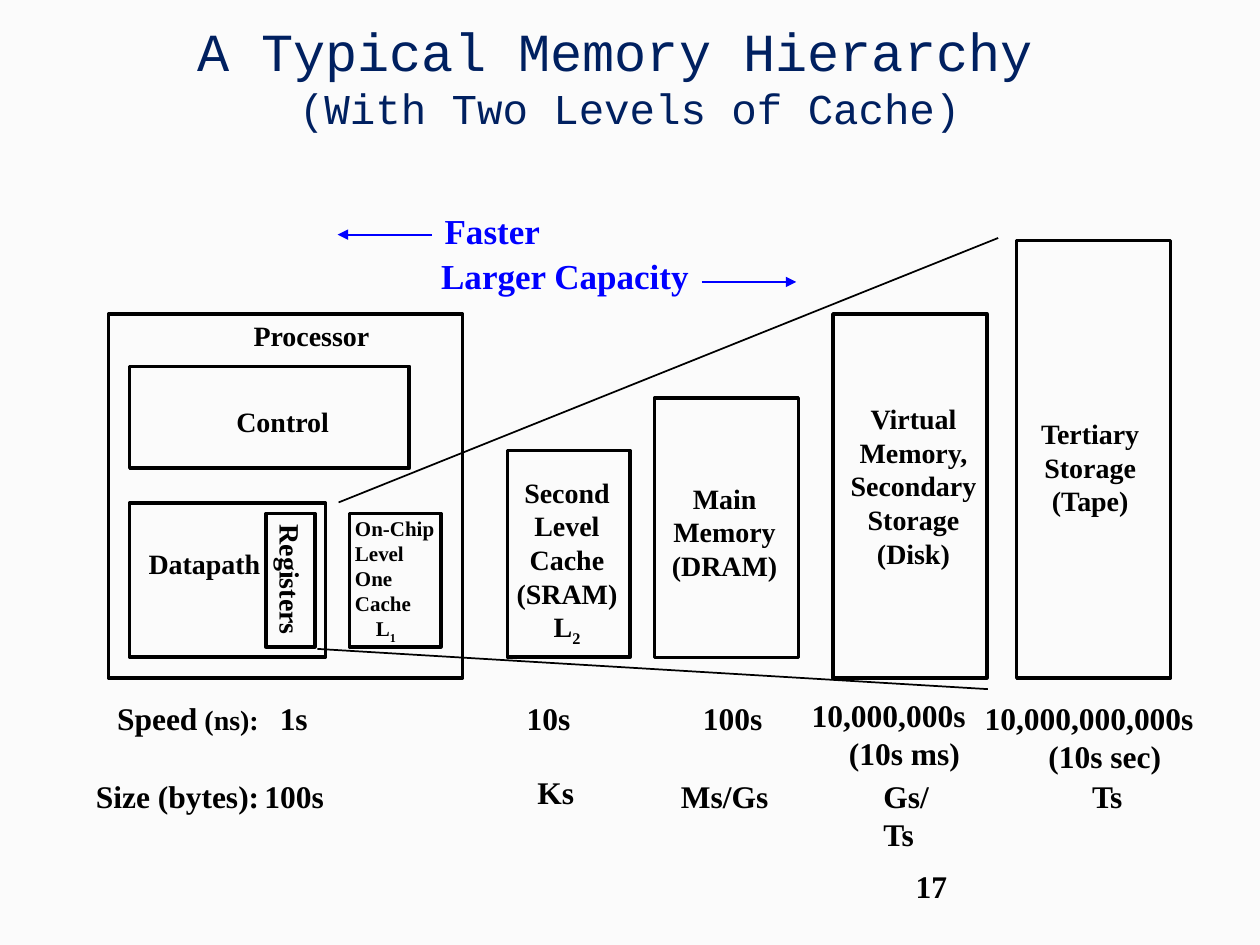
"""Build the memory hierarchy slide with two levels of cache."""
from lxml.etree import SubElement
from pptx import Presentation
from pptx.dml.color import RGBColor
from pptx.enum.shapes import MSO_CONNECTOR as Connector, MSO_SHAPE as Shape
from pptx.enum.text import MSO_ANCHOR as Anchor, MSO_AUTO_SIZE as AutoSize, PP_ALIGN as Align
from pptx.oxml.ns import qn
from pptx.util import Pt

COLORS = {"paper": "FBFBFB", "title": "002060", "ink": "000000", "accent": "0000FF"}
SERIF, MONO = "Times New Roman", "Courier New"

FRAMES = {
    "processor": (62, 179.4, 202.3, 208),
    "control": (74.1, 209.4, 159.8, 58.2),
    "datapath": (74.1, 287.4, 111.9, 88.1),
    "registers": (152, 293.5, 28, 76.2),
    "level one cache": (199.8, 293.5, 52.2, 76.2),
    "level two cache": (289.9, 257.5, 70.2, 118),
    "main memory": (374, 227.5, 82.2, 148.2),
    "disk": (476, 179.4, 88, 208),
    "tape": (581, 137.5, 88, 250),
}

PART_LABELS = [
    ((137.8, 178.6, 80.6, 26), ["Processor"], {}),
    ((128, 227.5, 67.7, 26), ["Control"], {}),
    ((77.8, 308.9, 78.5, 26), ["Datapath"], {}),
    ((127.4, 318.6, 77.8, 26), ["Registers"], {"rotation": 90}),
    ((195.8, 290.9, 59.8, 79.2), ["On-Chip", "Level", "One", "Cache", [("L", {}), ("1", {"sub": True})]],
     {"size": 12, "indents": {4: (12, 0)}}),
]
LEVEL_LABELS = [
    ((288, 268.1, 72, 103), ["Second", "Level", "Cache", "(SRAM)", [("L", {}), ("2", {"sub": True})]]),
    ((376.6, 271.4, 74.9, 64.8), ["Main", "Memory", "(DRAM)"]),
    ((478.8, 226.1, 86.4, 122.4), ["Virtual", "Memory,", "Secondary", "Storage", "(Disk)"]),
    ((587, 234.5, 72, 64.8), ["Tertiary", "Storage", "(Tape)"]),
]
SPEED_TOP, SIZE_TOP = 396, 440.6
FIGURES = [
    ((59.8, SPEED_TOP, 95.8), [[("Speed", {}), (" (ns):", {"size": 16})]], False),
    ((152.8, SPEED_TOP, 30.2), ["1s"], False),
    ((293.8, SPEED_TOP, 39.6), ["10s"], False),
    ((394.6, SPEED_TOP, 67), ["100s"], True),
    ((47.7, SIZE_TOP, 108), ["Size (bytes):"], False),
    ((144, SIZE_TOP, 48.2), ["100s"], False),
    ((300, 438.2, 35.3), ["Ks"], False),
    ((382, SIZE_TOP, 69.1), ["Ms/Gs"], True),
    ((497.8, SIZE_TOP, 54.7), ["Gs/Ts"], True),
    ((617, SIZE_TOP, 33.1), ["Ts"], False),
    ((516.2, 491.8, 149.8), ["17"], True),
]
SLOW_SPEEDS = [
    ((455, 394.2, 110.2, 50.4), ["10,000,000s", "(10s ms)"]),
    ((554.4, SPEED_TOP, 140.4, 50.4), ["10,000,000,000s", "(10s sec)"]),
]


def format_span(span, size=16, color="ink", font=SERIF, bold=True, sub=False):
    """Set the character format of one span."""
    span.font.size, span.font.name, span.font.bold = Pt(size), font, bold
    span.font.color.rgb = RGBColor.from_string(COLORS[color])
    if sub:
        span._r.get_or_add_rPr().set("baseline", "-25000")


def add_text(slide, place, lines, align=Align.LEFT, wrap=False, rotation=0, indents=None, **style):
    """Add a text box with one paragraph per line."""
    box = slide.shapes.add_textbox(*map(Pt, place))
    box.rotation = rotation
    frame = box.text_frame
    frame.word_wrap, frame.auto_size = wrap, AutoSize.SHAPE_TO_FIT_TEXT
    for number, line in enumerate(lines):
        para = frame.add_paragraph() if number else frame.paragraphs[0]
        para.alignment = align
        if indents and number in indents:
            for side, indent in zip(("marL", "marR"), indents[number]):
                para._p.get_or_add_pPr().set(side, str(Pt(indent)))
        for text, change in [(line, {})] if isinstance(line, str) else line:
            span = para.add_run()
            span.text = text
            format_span(span, **{**style, **change})


def add_frame(slide, place):
    """Add an unfilled rectangle."""
    box = slide.shapes.add_shape(Shape.RECTANGLE, *map(Pt, place))
    box.shadow.inherit = False
    box.fill.background()
    box.line.color.rgb = RGBColor.from_string(COLORS["ink"])
    box.line.width = Pt(2)


def add_line(slide, ends, color="ink", arrow=False):
    """Add a straight line, with an arrowhead at its end if asked."""
    line = slide.shapes.add_connector(Connector.STRAIGHT, *map(Pt, ends))
    line.line.color.rgb = RGBColor.from_string(COLORS[color])
    line.line.width = Pt(1)
    if arrow:
        SubElement(line.line._get_or_add_ln(), qn("a:tailEnd"), type="triangle")
    SubElement(line._element.spPr, qn("a:effectLst"))


def set_title(slide):
    """Place and format the two-line title."""
    title = slide.shapes.title
    title.left, title.top, title.width, title.height = map(Pt, (54, 12, 612, 62))
    frame = title.text_frame
    frame.word_wrap, frame.auto_size, frame.vertical_anchor = True, AutoSize.NONE, Anchor.MIDDLE
    para = frame.paragraphs[0]
    para.alignment = Align.CENTER
    for text, size in (("A Typical Memory Hierarchy", 30.6), (" ", 28.8), ("(With Two Levels of Cache)", 24.3)):
        span = para.add_run()
        span.text = text
        format_span(span, size=size, color="title", font=MONO, bold=False)
        if text == " ":
            para.add_line_break()


def main():
    """Build and save the deck."""
    deck = Presentation()
    deck.slide_width, deck.slide_height = Pt(720), Pt(540)
    slide = deck.slides.add_slide(deck.slide_layouts[5])
    slide.background.fill.solid()
    slide.background.fill.fore_color.rgb = RGBColor.from_string(COLORS["paper"])
    set_title(slide)
    for place in FRAMES.values():
        add_frame(slide, place)
    for ends in ((193.5, 287.1, 570.4, 136), (181.4, 370.8, 564.5, 393.8)):
        add_line(slide, ends)
    for place, lines, style in PART_LABELS:
        add_text(slide, place, lines, **style)
    for place, lines in LEVEL_LABELS:
        add_text(slide, place, lines, align=Align.CENTER)
    for place, lines, wrap in FIGURES:
        add_text(slide, (*place, 28.8), lines, wrap=wrap, size=18)
    for place, lines in SLOW_SPEEDS:
        add_text(slide, place, lines, align=Align.CENTER, wrap=True, size=18,
                 indents={0: (0, 4.5), 1: (13.5, 0)})
    for place, text, ends in (
        ((247, 115.9, 69.1, 31), "Faster", (247, 134.1, 193, 134.1)),
        ((245, 141.8, 156.2, 31), "Larger Capacity", (401, 161.1, 455, 161.1)),
    ):
        add_text(slide, place, [text], size=20, color="accent")
        add_line(slide, ends, color="accent", arrow=True)
    deck.save("out.pptx")


if __name__ == "__main__":
    main()
